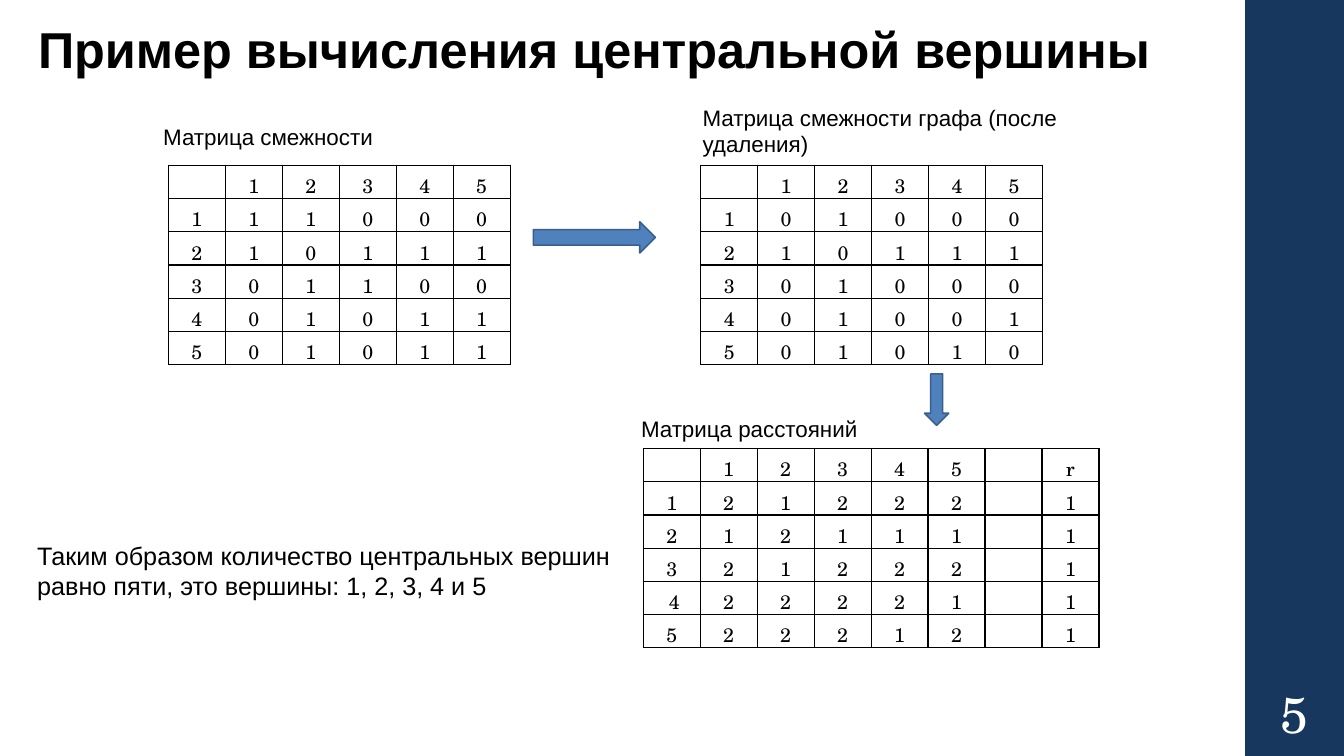
from dataclasses import dataclass

from lxml.etree import SubElement
from pptx import Presentation
from pptx.dml.color import RGBColor
from pptx.enum.shapes import MSO_SHAPE
from pptx.enum.text import MSO_ANCHOR, MSO_AUTO_SIZE, PP_ALIGN
from pptx.oxml.ns import qn
from pptx.util import Inches, Pt


@dataclass(frozen=True)
class Theme:
    """Colours, fonts and type sizes of the slide."""
    text: str = "000000"
    inverse: str = "FFFFFF"
    band: str = "17375E"
    arrow: str = "4F81BD"
    arrow_line: str = "3A5F8C"
    sans: str = "Arial"
    serif: str = "TeX Gyre Schola"
    title_size: int = 36
    body_size: int = 18
    label_size: int = 16
    cell_size: int = 14


THEME = Theme()
COLUMN_WIDTH = 0.565
TABLE_HEIGHT = 1.85
CELL_INSET = 0.04
VERTICES = ["1", "2", "3", "4", "5"]

ADJACENCY = ["11000", "10111", "01100", "01011", "01011"]
ADJACENCY_AFTER_REMOVAL = ["01000", "10111", "01000", "01001", "01010"]
DISTANCES = ["21222", "12111", "21222", "22221", "22212"]


def style_paragraph(paragraph, size, font=THEME.sans, color=THEME.text,
                    bold=False, align=PP_ALIGN.LEFT):
    """Set the font and alignment of a whole paragraph."""
    paragraph.alignment = align
    paragraph.font.size = Pt(size)
    paragraph.font.name = font
    paragraph.font.bold = bold
    paragraph.font.color.rgb = RGBColor.from_string(color)


def add_text(slide, box, lines, size, **style):
    """Add a wrapped text box with one paragraph per line and return its frame."""
    frame = slide.shapes.add_textbox(*map(Inches, box)).text_frame
    frame.word_wrap = True
    frame.auto_size = MSO_AUTO_SIZE.SHAPE_TO_FIT_TEXT
    frame.text = "\n".join(lines)
    for paragraph in frame.paragraphs:
        style_paragraph(paragraph, size, **style)
    return frame


def add_filled_shape(slide, kind, box, fill, line=None):
    """Add a flat preset shape with an optional outline."""
    shape = slide.shapes.add_shape(kind, *map(Inches, box))
    shape.shadow.inherit = False
    shape.fill.solid()
    shape.fill.fore_color.rgb = RGBColor.from_string(fill)
    if line:
        shape.line.color.rgb = RGBColor.from_string(line)
        shape.line.width = Pt(1.1)
    else:
        shape.line.fill.background()


def add_borders(cell):
    """Draw a thin line on all four sides of a cell."""
    properties = cell._tc.get_or_add_tcPr()
    for side in ("lnL", "lnR", "lnT", "lnB"):
        line = SubElement(properties, qn(f"a:{side}"), w=str(Pt(1)))
        fill = SubElement(line, qn("a:solidFill"))
        SubElement(fill, qn("a:srgbClr"), val=THEME.text)


def fill_cell(cell, text):
    """Write one centred value into a bordered, unfilled cell."""
    add_borders(cell)
    cell.fill.background()
    cell.vertical_anchor = MSO_ANCHOR.MIDDLE
    cell.margin_left = cell.margin_right = Inches(CELL_INSET)
    cell.margin_top = cell.margin_bottom = Inches(CELL_INSET)
    paragraph = cell.text_frame.paragraphs[0]
    style_paragraph(paragraph, THEME.cell_size, THEME.serif, align=PP_ALIGN.CENTER)
    paragraph.line_spacing = 1.07
    if text:
        paragraph.add_run().text = text
    else:
        # An empty cell takes its line height from the end-of-paragraph size.
        paragraph._p.get_or_add_endParaRPr().set("sz", str(THEME.cell_size * 100))


def matrix_rows(matrix):
    """Put the vertex numbers above and to the left of a matrix."""
    return [["", *VERTICES]] + [[vertex, *values]
                                for vertex, values in zip(VERTICES, matrix)]


def distance_rows():
    """Extend the distance matrix with a spacer column and the radius column."""
    rows = matrix_rows(DISTANCES)
    rows[4][0] = " 4"
    return [row + ["", "1" if index else "r"] for index, row in enumerate(rows)]


def add_matrix(slide, left, top, rows):
    """Add a table of equal columns filled with the given rows."""
    columns = len(rows[0])
    table = slide.shapes.add_table(
        len(rows), columns, Inches(left), Inches(top),
        Inches(columns * COLUMN_WIDTH), Inches(TABLE_HEIGHT)).table
    table.first_row = table.horz_banding = False
    for row, values in zip(table.rows, rows):
        for cell, value in zip(row.cells, values):
            fill_cell(cell, value)


def add_page_number(slide, box, number):
    """Add the large number at the foot of the side band."""
    frame = add_text(slide, box, [number], THEME.title_size, font=THEME.serif,
                     color=THEME.inverse, align=PP_ALIGN.CENTER)
    frame.auto_size = MSO_AUTO_SIZE.NONE
    frame.vertical_anchor = MSO_ANCHOR.MIDDLE
    frame.margin_left = frame.margin_right = Inches(0.05)
    frame.margin_top = frame.margin_bottom = Inches(0.05)


def main():
    """Build the slide and save it."""
    presentation = Presentation()
    presentation.slide_width = Inches(13.33)
    presentation.slide_height = Inches(7.5)
    slide = presentation.slides.add_slide(presentation.slide_layouts[6])

    add_filled_shape(slide, MSO_SHAPE.RECTANGLE, (12.35, 0, 0.98, 7.5), THEME.band)
    add_text(slide, (-0.28, 0.13, 12.35, 0.71),
             ["Пример вычисления центральной вершины"], THEME.title_size,
             bold=True, align=PP_ALIGN.CENTER)

    for box, label in (
        ((1.52, 1.17, 2.89, 0.37), "Матрица смежности"),
        ((6.87, 0.98, 4.64, 0.64), "Матрица смежности графа (после удаления)"),
        ((6.26, 4.07, 4.64, 0.37), "Матрица расстояний"),
    ):
        add_text(slide, box, [label], THEME.label_size)

    for kind, box in (
        (MSO_SHAPE.RIGHT_ARROW, (5.29, 2.2, 1.21, 0.31)),
        (MSO_SHAPE.DOWN_ARROW, (9.17, 3.71, 0.24, 0.51)),
    ):
        add_filled_shape(slide, kind, box, THEME.arrow, THEME.arrow_line)

    add_text(slide, (0.27, 5.31, 5.99, 0.71),
             ["Таким образом количество центральных вершин",
              "равно пяти, это вершины: 1, 2, 3, 4 и 5"], THEME.body_size)

    add_matrix(slide, 1.67, 1.64, matrix_rows(ADJACENCY))
    add_matrix(slide, 6.95, 1.64, matrix_rows(ADJACENCY_AFTER_REMOVAL))
    add_matrix(slide, 6.38, 4.45, distance_rows())
    add_page_number(slide, (12.35, 6.75, 0.98, 0.65), "5")

    presentation.save("out.pptx")


main()
